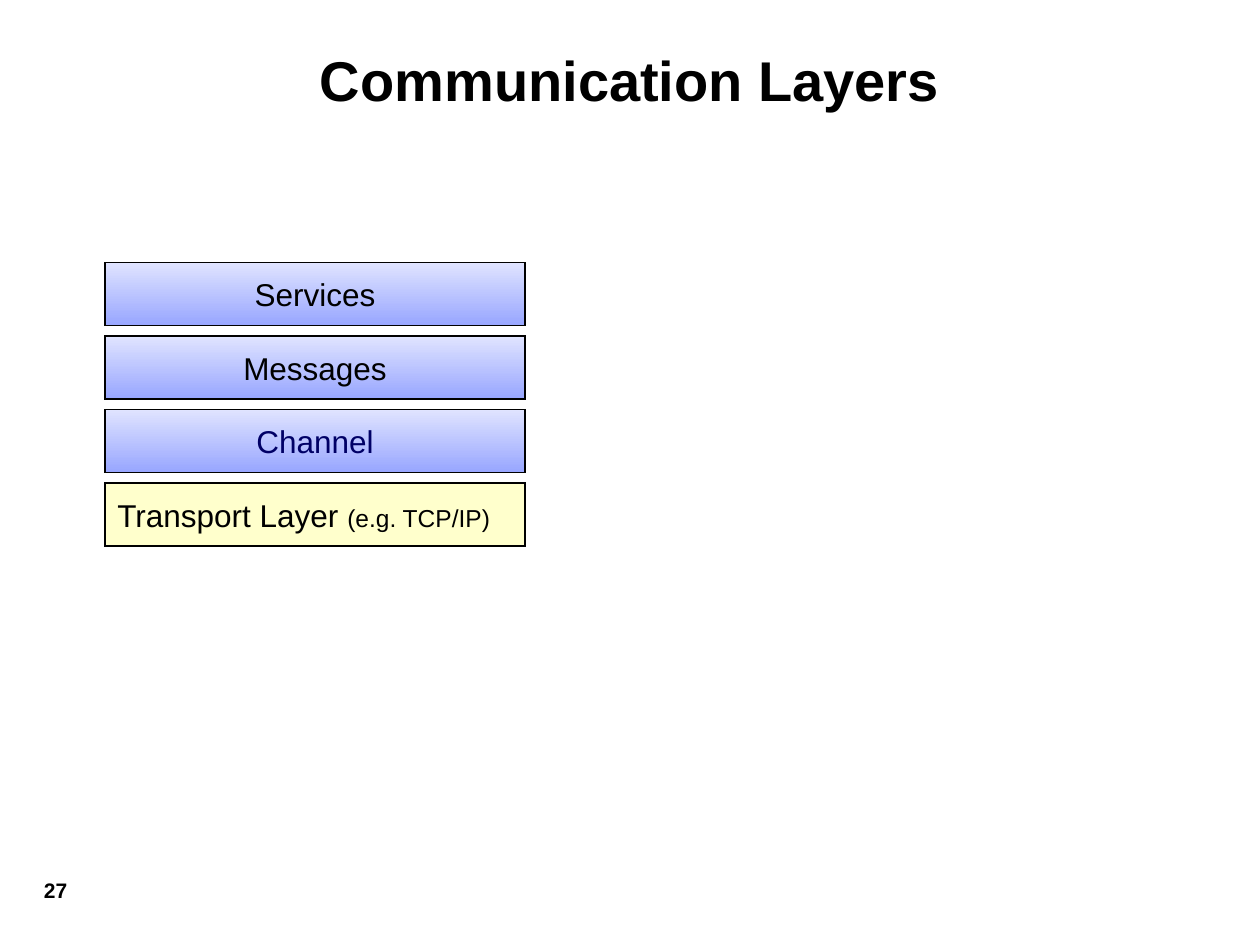
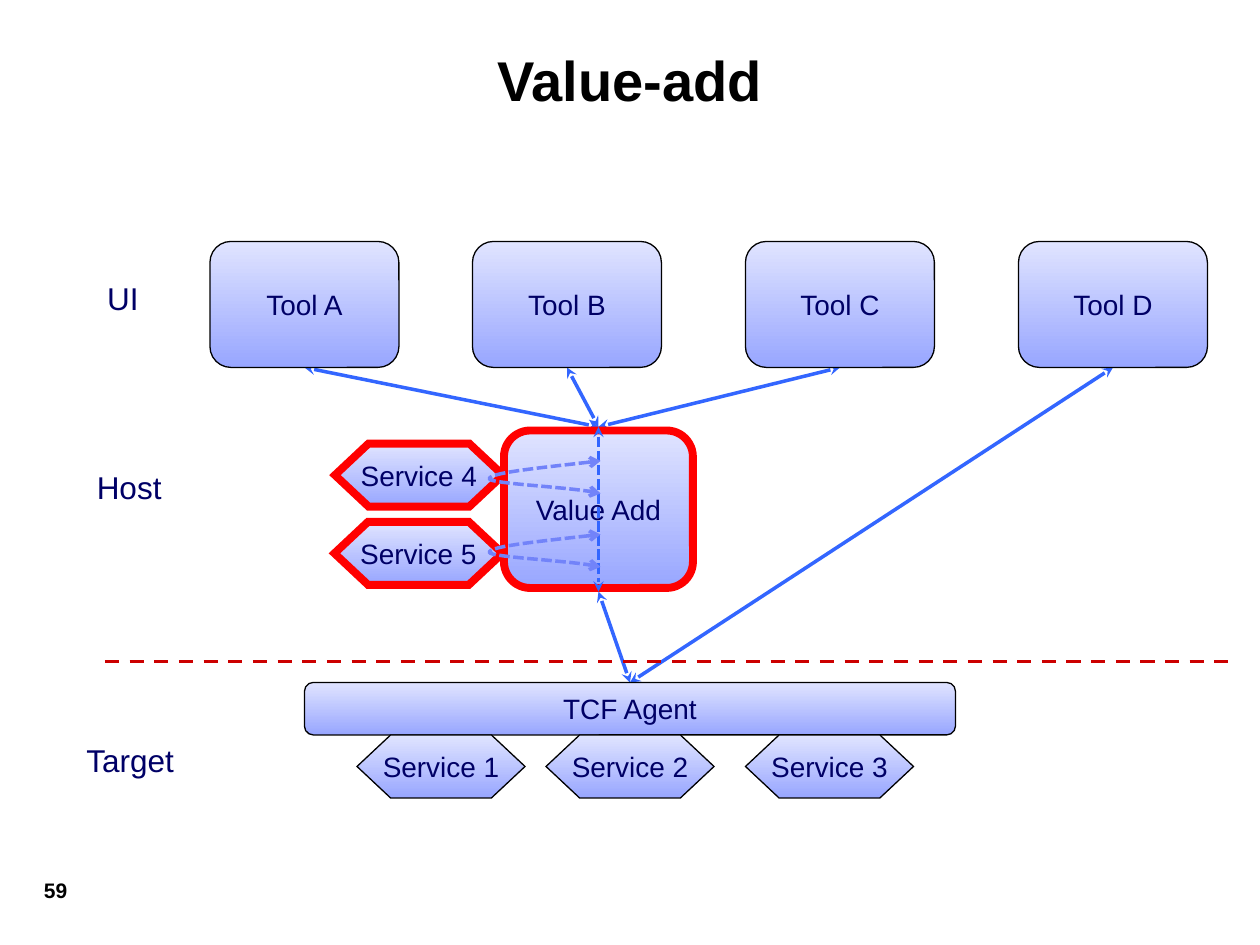
from collections import namedtuple

from lxml.etree import SubElement
from pptx import Presentation
from pptx.dml.color import RGBColor
from pptx.enum.dml import MSO_LINE
from pptx.enum.shapes import MSO_CONNECTOR, MSO_SHAPE
from pptx.enum.text import MSO_ANCHOR, PP_ALIGN
from pptx.oxml.ns import qn
from pptx.util import Inches, Pt

# Lengths are cells of a grid of 120 columns by 90 rows, 12 cells to the inch.
COLUMNS, ROWS = 120, 90
CELL = Inches(10) // COLUMNS

FONT = "Arial"
BLACK = RGBColor(0x00, 0x00, 0x00)
NAVY = RGBColor(0x00, 0x00, 0x66)
PALE_BLUE = RGBColor(0xE0, 0xE4, 0xFF)
MID_BLUE = RGBColor(0x98, 0xA6, 0xFF)
CREAM = RGBColor(0xFF, 0xFF, 0xCC)
LINK_BLUE = RGBColor(0x33, 0x66, 0xFF)
CALL_BLUE = RGBColor(0x72, 0x83, 0xF9)
HIGHLIGHT_RED = RGBColor(0xFF, 0x00, 0x00)
BOUNDARY_RED = RGBColor(0xCC, 0x00, 0x00)


class Box(namedtuple("Box", "left top width height")):
    @property
    def center(self):
        return self.left + self.width / 2

    @property
    def bottom(self):
        return self.top + self.height

    def inner(self, left, top, width, height):
        """Return a box whose corner is measured from this box's corner."""
        return Box(self.left + left, self.top + top, width, height)

    def emu(self):
        return [cells(value) for value in self]


TITLE_BOX = Box(3, 3, 114, 9)
NUMBER_BOX = Box(3, 83, 15, 6)
STACK_BOX = Box(10, 25, 40, 27)
UI_BOX = Box(0, 23, COLUMNS, 12)
HOST_BOX = Box(0, 41, COLUMNS, 15)
TARGET_BOX = Box(0, 65, COLUMNS, 11)


def cells(value):
    return round(value * CELL)


def write_text(shape, *runs, size=16, color=NAVY, bold=False, spacing_size=None,
               align=PP_ALIGN.CENTER, anchor=MSO_ANCHOR.MIDDLE, wrap=True):
    """Write runs, each a text or a (text, size) pair, as one paragraph."""
    frame = shape.text_frame
    frame.word_wrap = wrap
    frame.vertical_anchor = anchor
    paragraph = frame.paragraphs[0]
    paragraph.alignment = align
    spacing_size = size if spacing_size is None else spacing_size
    paragraph.space_before = Pt(round(spacing_size * 0.31, 1))
    paragraph.space_after = Pt(round(spacing_size * 0.19, 1))
    for item in runs:
        text, run_size = (item, size) if isinstance(item, str) else item
        run = paragraph.add_run()
        run.text = text
        run.font.name = FONT
        run.font.size = Pt(run_size)
        run.font.bold = bold
        run.font.color.rgb = color


def add_text(slide, box, text, **text_format):
    write_text(slide.shapes.add_textbox(*box.emu()), text, **text_format)


def add_node(slide, kind, box, *runs, fill=None, outline=BLACK, outline_width=0.75,
             **text_format):
    """Add an outlined shape with text; without a fill colour it has the blue gradient."""
    shape = slide.shapes.add_shape(kind, *box.emu())
    shape.shadow.inherit = False
    if fill is None:
        shape.fill.gradient()
        shape.fill.gradient_angle = 270
        for stop, color in zip(shape.fill.gradient_stops, (PALE_BLUE, MID_BLUE)):
            stop.color.rgb = color
        for position, stop in enumerate(shape.fill.gradient_stops):
            stop.position = position
    else:
        shape.fill.solid()
        shape.fill.fore_color.rgb = fill
    shape.line.color.rgb = outline
    shape.line.width = Pt(outline_width)
    SubElement(shape.element.spPr.find(qn("a:ln")), qn("a:miter"), lim="800000")
    write_text(shape, *runs, **text_format)


def style_line(shape, color, dash=None, arrow=None):
    shape.line.color.rgb = color
    shape.line.width = Pt(2)
    if dash is not None:
        shape.line.dash_style = dash
    if arrow is not None:
        outline = shape.element.spPr.find(qn("a:ln"))
        for end in ("a:headEnd", "a:tailEnd"):
            SubElement(outline, qn(end), type=arrow)


def add_line(slide, start, end, color=LINK_BLUE, **line_format):
    points = [cells(value) for value in (*start, *end)]
    connector = slide.shapes.add_connector(MSO_CONNECTOR.STRAIGHT, *points)
    style_line(connector, color, **line_format)
    SubElement(connector.element.spPr, qn("a:effectLst"))


def bezier_points(controls, steps=16):
    """Sample a cubic curve, leaving out its first point."""
    for step in range(1, steps + 1):
        t = step / steps
        weights = ((1 - t) ** 3, 3 * t * (1 - t) ** 2, 3 * t * t * (1 - t), t ** 3)
        yield tuple(sum(weight * control[axis] for weight, control in zip(weights, controls))
                    for axis in (0, 1))


def add_call_loop(slide, left, top):
    """Add a dashed loop that leaves (left, top), turns at a service and returns."""
    turn = (-10.6, 1.7)
    outward = ((0, 0), (-5.2, 0.6), (-10.6, 1.1), turn)
    back = (turn, (-10.6, 2.2), (-2.4, 2.5), (0, 3.1))
    points = [(cells(left + x), cells(top + y))
              for curve in (outward, back) for x, y in bezier_points(curve)]
    builder = slide.shapes.build_freeform(cells(left), cells(top))
    builder.add_line_segments(points, close=False)
    loop = builder.convert_to_shape()
    loop.shadow.inherit = False
    loop.fill.background()
    style_line(loop, CALL_BLUE, dash=MSO_LINE.SQUARE_DOT, arrow="arrow")


def add_slide(presentation, title, number):
    """Add a blank slide with the shared title and slide number."""
    slide = presentation.slides.add_slide(presentation.slide_layouts[6])
    add_text(slide, TITLE_BOX, title, size=32, color=BLACK, bold=True, spacing_size=0)
    add_text(slide, NUMBER_BOX, number, size=12, color=BLACK, bold=True, spacing_size=0,
             align=PP_ALIGN.LEFT, anchor=MSO_ANCHOR.TOP)
    return slide


def add_layer_stack(slide, box):
    height, pitch = 6, 7
    layers = (("Services", BLACK), ("Messages", BLACK), ("Channel", NAVY))
    for row, (name, color) in enumerate(layers):
        add_node(slide, MSO_SHAPE.RECTANGLE, box.inner(0, row * pitch, box.width, height),
                 name, size=18, color=color, wrap=False)
    add_node(slide, MSO_SHAPE.RECTANGLE,
             box.inner(0, len(layers) * pitch, box.width, height),
             "Transport Layer ", ("(e.g. TCP/IP)", 14), fill=CREAM,
             size=18, color=BLACK, spacing_size=14, align=PP_ALIGN.LEFT)


def add_service(slide, box, left, top, number, **outline_format):
    add_node(slide, MSO_SHAPE.FLOWCHART_PREPARATION, box.inner(left, top, 16, 6),
             f"Service {number}", wrap=False, **outline_format)


def add_tier_label(slide, box, center, top, text):
    width = 14
    add_text(slide, box.inner(center - width / 2, top, width, 4.8), text, size=18,
             wrap=False, anchor=MSO_ANCHOR.TOP)


def add_ui_tier(slide, tool_boxes, box):
    for letter, tool_box in zip("ABCD", tool_boxes):
        add_node(slide, MSO_SHAPE.ROUNDED_RECTANGLE, tool_box, f"Tool {letter}")
    add_tier_label(slide, box, 11.7, 3, "UI")


def add_host_tier(slide, value_add, upper_port, lower_port, box):
    """Add the value-add node with the link and calls that run through it."""
    add_node(slide, MSO_SHAPE.ROUNDED_RECTANGLE, value_add, "Value Add",
             outline=HIGHLIGHT_RED, outline_width=4.5)
    add_line(slide, upper_port, lower_port, dash=MSO_LINE.SQUARE_DOT, arrow="stealth")
    for offset in (2.9, 9.9):
        add_call_loop(slide, value_add.center + 0.2, value_add.top + offset)
    add_tier_label(slide, box, 12.3, 3, "Host")


def add_target_tier(slide, agent, box):
    add_node(slide, MSO_SHAPE.ROUNDED_RECTANGLE, agent, "TCF Agent")
    for number, left in enumerate((34, 52, 71), start=1):
        add_service(slide, box, left, 5, number)
    add_tier_label(slide, box, 12.4, 5, "Target")


def build_layers_slide(presentation):
    slide = add_slide(presentation, "Communication Layers", "27")
    add_layer_stack(slide, STACK_BOX)


def build_value_add_slide(presentation):
    slide = add_slide(presentation, "Value-add", "59")
    tool_boxes = [UI_BOX.inner(left, 0, 18, 12) for left in (20, 45, 71, 97)]
    value_add = HOST_BOX.inner(48, 0, 18, 15)
    agent = TARGET_BOX.inner(29, 0, 62, 5)
    upper_port = (value_add.center, value_add.top - 0.35)
    lower_port = (value_add.center, value_add.bottom + 0.35)
    agent_port = (agent.center, agent.top)

    for number, left, top in ((4, 31.9, 1.25), (5, 31.85, 8.7)):
        add_service(slide, HOST_BOX, left, top, number,
                    outline=HIGHLIGHT_RED, outline_width=4.5)
    tool_targets = (upper_port, upper_port, upper_port, agent_port)
    for tool_box, target in zip(tool_boxes, tool_targets):
        add_line(slide, (tool_box.center, tool_box.bottom), target, arrow="stealth")
    add_line(slide, lower_port, agent_port, arrow="stealth")

    add_ui_tier(slide, tool_boxes, UI_BOX)
    add_target_tier(slide, agent, TARGET_BOX)
    add_line(slide, (10, 63), (118, 63), color=BOUNDARY_RED, dash=MSO_LINE.DASH)
    add_host_tier(slide, value_add, upper_port, lower_port, HOST_BOX)


def main():
    presentation = Presentation()
    presentation.slide_width = COLUMNS * CELL
    presentation.slide_height = ROWS * CELL
    build_layers_slide(presentation)
    build_value_add_slide(presentation)
    presentation.save("out.pptx")


if __name__ == "__main__":
    main()
